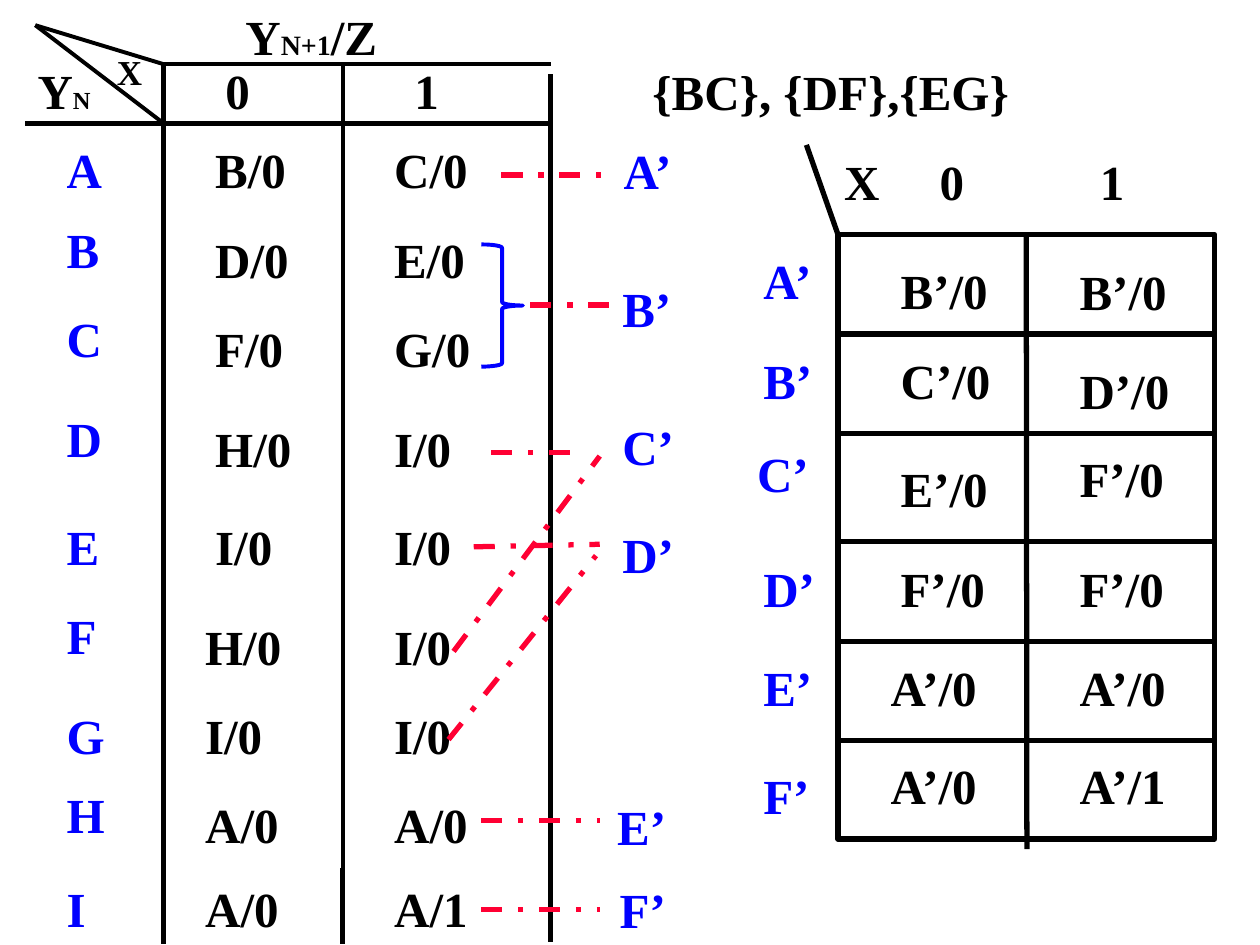
from lxml.etree import SubElement
from pptx import Presentation
from pptx.dml.color import RGBColor
from pptx.enum.dml import MSO_LINE
from pptx.enum.shapes import MSO_CONNECTOR, MSO_SHAPE
from pptx.enum.text import MSO_AUTO_SIZE
from pptx.oxml.ns import qn
from pptx.util import Pt

PX = 9144
BLACK, BLUE, RED = "000000", "0000FF", "FF0033"
FONT = {"name": "Times New Roman", "bold": True}
FRAME = {"auto_size": MSO_AUTO_SIZE.SHAPE_TO_FIT_TEXT}
GLYPH = {"A": 72, "B": 67, "C": 72, "D": 72, "E": 67, "F": 61, "G": 78,
         "H": 78, "I": 39, "X": 72, "/": 28, "0": 50, "1": 50, "’": 33}


def px(*nums):
    return [round(n * PX) for n in nums]


def paint(target, hue):
    target.rgb = RGBColor.from_string(hue)


def apply(target, values):
    for key, value in values.items():
        setattr(target, key, value)


def fit(words, size):
    return round(sum(GLYPH[c] for c in words) * size / 72) + 20


def text(slide, left, top, parts, hue=BLACK, wide=None, size=28):
    if isinstance(parts, str):
        parts = [(parts, size)]
    width = wide or fit(parts[0][0], size)
    height = round(size * 1.675) + 10
    box = slide.shapes.add_textbox(*px(left, top, width, height))
    apply(box.text_frame, {**FRAME, "word_wrap": wide is not None})
    line = box.text_frame.paragraphs[0]
    for words, points in parts:
        run = line.add_run()
        run.text = words
        apply(run.font, {**FONT, "size": Pt(points)})
        paint(run.font.color, hue)
    return line


def column(slide, words, lefts, tops, hue=BLACK, wide=None):
    for word, left, top in zip(words, lefts, tops):
        text(slide, left, top, word, hue, wide)


def rule(slide, x, y, ends, hue=BLACK, width=3, dash=None):
    a, b, c, d = ends
    line = slide.shapes.add_connector(
        MSO_CONNECTOR.STRAIGHT, *px(x + a, y + b, x + c, y + d))
    paint(line.line.color, hue)
    apply(line.line, {"width": Pt(width), "dash_style": dash})
    SubElement(line._element.spPr, qn("a:effectLst"))
    return line


def shape(slide, kind, box, hue, width):
    item = slide.shapes.add_shape(kind, *px(*box))
    item.shadow.inherit = False
    item.fill.background()
    paint(item.line.color, hue)
    item.line.width = Pt(width)
    return item


def tabs(line, stops):
    items = SubElement(line._p.get_or_add_pPr(), qn("a:tabLst"))
    for stop in stops:
        SubElement(items, qn("a:tab"), pos=str(stop * PX), algn="l")


def states(slide, x, y):
    for ends in [(110, 51, 417, 51), (8, 20, 110, 98), (8, 20, 110, 51),
                 (252, 51, 252, 689)]:
        rule(slide, x, y, ends, width=2.25)
    for ends in [(110, 689, 110, 749), (252, 689, 252, 749),
                 (110, 51, 110, 705), (417, 59, 417, 748), (0, 98, 417, 98)]:
        rule(slide, x, y, ends)
    tops = [y + n for n in (106, 177, 248, 327, 405, 484, 555, 626, 692)]
    marks = [y + n for n in (106, 169, 240, 319, 405, 476, 555, 618, 692)]
    column(slide, "ABCDEFGHI", [x + 23] * 9, marks, BLUE, 55)
    column(slide, ["B/0", "D/0", "F/0", "H/0", "I/0", "H/0", "I/0", "A/0", "A/0"],
           [x + 141] * 5 + [x + 133] * 4, tops)
    column(slide, ["C/0", "E/0", "G/0", "I/0", "I/0", "I/0", "I/0", "A/0", "A/1"],
           [x + 283] * 9, tops)
    text(slide, x, y + 43, [("Y", 28), ("N", 14)], wide=62)
    text(slide, x + 63, y + 35, "X", size=20)
    column(slide, "01", [x + 149, x + 299], [y + 43] * 2)
    text(slide, x + 165, y, [("Y", 28), ("N+1", 16), ("/Z", 28)], wide=134)


def merge(slide, x, y):
    column(slide, ["A’", "B’", "C’", "D’", "E’", "F’"],
           [x + n for n in (135, 134, 134, 134, 130, 132)],
           [y + n for n in (7, 116, 226, 311, 527, 593)], BLUE)
    shape(slide, MSO_SHAPE.RIGHT_BRACE, (x + 32, y + 94, 33, 97), BLUE, 2.25)
    for ends in [(48, 39, 134, 39), (71, 142, 134, 142), (40, 259, 115, 259),
                 (26, 334, 126, 332), (32, 551, 126, 551), (32, 622, 126, 622),
                 (10, 417, 126, 262), (6, 487, 123, 341)]:
        rule(slide, x, y, ends, RED, dash=MSO_LINE.DASH_DOT)


def reduced(slide, x, y):
    frame = shape(slide, MSO_SHAPE.RECTANGLE, (x + 74, y + 71, 299, 480), BLACK, 3)
    for row in (150, 229, 315, 394, 473):
        rule(slide, x, y, (74, row, 374, row))
    split = rule(slide, x, y, (224, 71, 224, 559))
    split.begin_connect(frame, 0)
    rule(slide, x, y, (74, 71, 49, 0))
    column(slide, ["A’", "B’", "C’", "D’", "E’", "F’"],
           [x + n for n in (5, 5, 0, 5, 5, 5)],
           [y + n for n in (79, 158, 232, 323, 402, 488)], BLUE)
    column(slide, ["B’/0", "C’/0", "E’/0", "F’/0", "A’/0", "A’/0"],
           [x + 114] * 4 + [x + 106] * 2,
           [y + n for n in (87, 158, 244, 323, 402, 480)])
    column(slide, ["B’/0", "D’/0", "F’/0", "F’/0", "A’/0", "A’/1"],
           [x + 256] * 6, [y + n for n in (88, 166, 236, 323, 402, 480)])
    head = text(slide, x + 49, y, "\tX\t0\t1", wide=339)
    tabs(head, (20, 96, 223))


def main():
    deck = Presentation()
    deck.slide_width, deck.slide_height = px(1000, 750)
    slide = deck.slides.add_slide(deck.slide_layouts[6])
    states(slide, 20, 0)
    reduced(slide, 591, 115)
    merge(slide, 350, 100)
    text(slide, 508, 44, "{BC}, {DF},{EG}", wide=378)
    deck.save("out.pptx")


if __name__ == "__main__":
    main()
